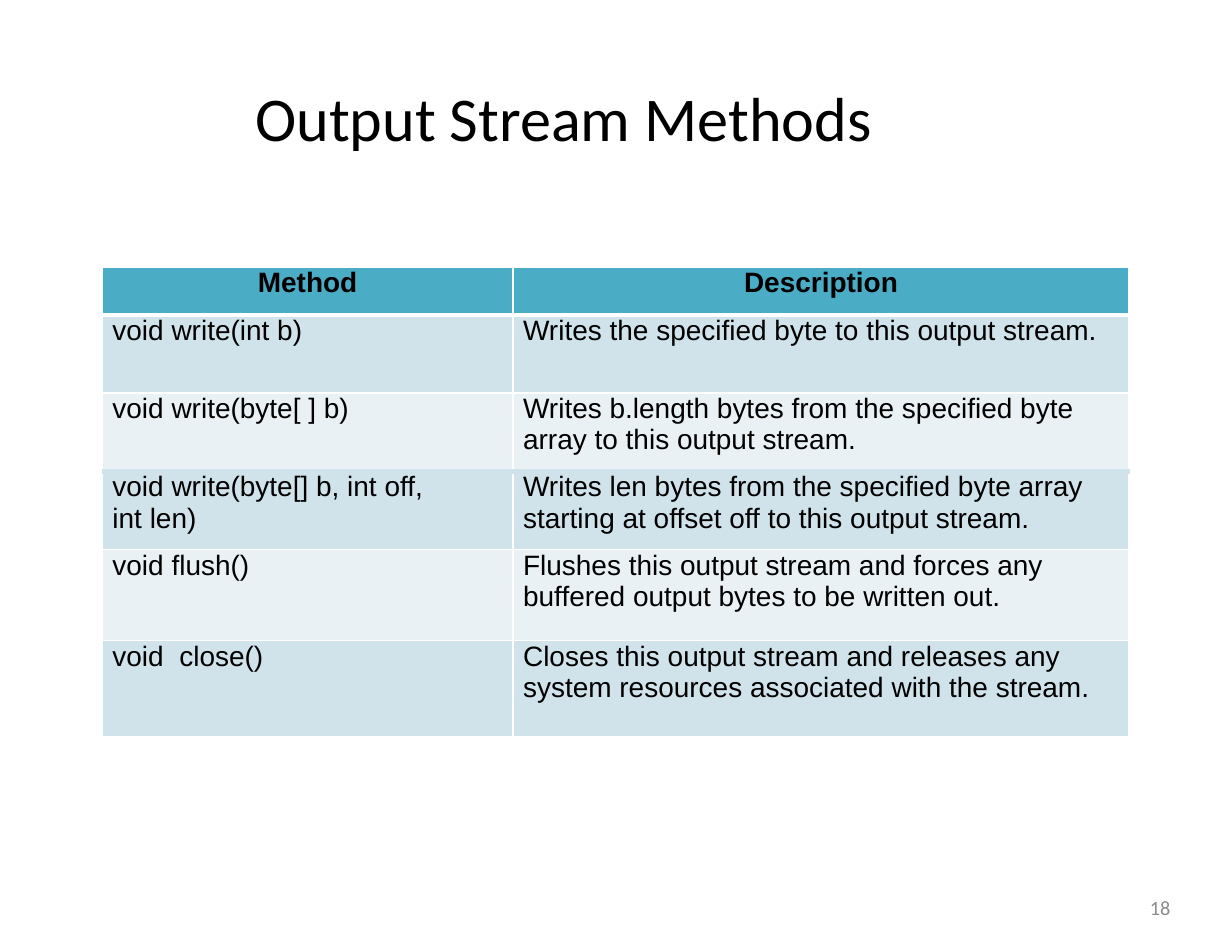
from dataclasses import dataclass

from lxml import etree
from pptx import Presentation
from pptx.dml.color import RGBColor
from pptx.enum.text import MSO_ANCHOR, PP_ALIGN
from pptx.oxml.ns import qn
from pptx.util import Pt

LEFT, CENTER, RIGHT = PP_ALIGN.LEFT, PP_ALIGN.CENTER, PP_ALIGN.RIGHT
TOP, MIDDLE = MSO_ANCHOR.TOP, MSO_ANCHOR.MIDDLE
TITLE_ONLY = 5


@dataclass(frozen=True)
class Theme:
    heading_font: str = "Calibri"
    table_font: str = "Arial"
    title_size: int = 40
    table_size: int = 18
    number_size: int = 13
    ink: str = "000000"
    number: str = "8C8C8C"
    header: str = "4BACC6"
    bands: tuple = ("D0E3EA", "E9F1F5")
    rule: str = "FFFFFF"


THEME = Theme()
COLUMN_WIDTHS = (264, 396)
ROW_HEIGHTS = (30.5, 50.3, 50.3, 50.3, 58.5, 62)
ROWS = (
    ("Method", "Description"),
    ("void write(int b)", "Writes the specified byte to this output stream."),
    ("void write(byte[ ] b)",
     "Writes b.length bytes from the specified byte array to this output stream."),
    ("void write(byte[] b, int off, int len)",
     "Writes len bytes from the specified byte array starting at offset off "
     "to this output stream."),
    ("void flush()",
     "Flushes this output stream and forces any buffered output bytes to be written out."),
    ("void  close()",
     "Closes this output stream and releases any system resources associated "
     "with the stream."),
)
# Horizontal rules from the table's top edge to its bottom edge
ROW_RULES = (
    (THEME.rule, 1.06), (THEME.rule, 3.1), (THEME.rule, 1.06),
    (THEME.bands[0], 3.41), (THEME.rule, 1.06), (THEME.rule, 1.06), (THEME.rule, 1.18),
)
SIDE_RULE = (THEME.rule, 1.18)


def set_margins(target, left=0, right=0):
    margins = {"margin_left": left, "margin_right": right,
               "margin_top": 0, "margin_bottom": 0}
    for name, value in margins.items():
        setattr(target, name, Pt(value))


def write_text(frame, text, font, size, color, align, bold=False):
    frame.word_wrap = True
    frame.text = text
    paragraph = frame.paragraphs[0]
    paragraph.alignment = align
    style = {"name": font, "size": Pt(size), "bold": bold}
    for name, value in style.items():
        setattr(paragraph.runs[0].font, name, value)
    paragraph.runs[0].font.color.rgb = RGBColor.from_string(color)


def set_borders(cell, borders):
    """Put the border lines ahead of the fill, in the order the schema needs."""
    properties = cell._tc.get_or_add_tcPr()
    for position, (side, (color, width)) in enumerate(borders.items()):
        line = etree.Element(qn(f"a:{side}"), w=str(Pt(width)))
        fill = etree.SubElement(line, qn("a:solidFill"))
        etree.SubElement(fill, qn("a:srgbClr"), val=color)
        properties.insert(position, line)


def add_title(slide, text):
    title = slide.shapes.title
    box = {"left": 39.6, "top": 51, "width": 712.8, "height": 48.4}
    for name, value in box.items():
        setattr(title, name, Pt(value))
    frame = title.text_frame
    set_margins(frame, left=124.5)
    frame.vertical_anchor = MIDDLE
    write_text(frame, text, THEME.heading_font, THEME.title_size, THEME.ink, LEFT)


def add_page_number(slide, text):
    frame = slide.shapes.add_textbox(Pt(567.4), Pt(567.4), Pt(185), Pt(32.4)).text_frame
    set_margins(frame)
    frame.vertical_anchor = MIDDLE
    write_text(frame, text, THEME.heading_font, THEME.number_size, THEME.number, RIGHT)


def format_cell(cell, text, row, column):
    is_header = row == 0
    fill = THEME.header if is_header else THEME.bands[(row - 1) % 2]
    cell.fill.solid()
    cell.fill.fore_color.rgb = RGBColor.from_string(fill)
    set_borders(cell, {"lnL": SIDE_RULE, "lnR": SIDE_RULE,
                       "lnT": ROW_RULES[row], "lnB": ROW_RULES[row + 1]})
    if is_header:
        set_margins(cell)
    else:
        set_margins(cell, left=6.5, right=36 if column == 0 else 0)
    cell.vertical_anchor = TOP
    write_text(cell.text_frame, text, THEME.table_font, THEME.table_size, THEME.ink,
               CENTER if is_header else LEFT, is_header)


def add_method_table(slide):
    table = slide.shapes.add_table(
        len(ROWS), len(COLUMN_WIDTHS), Pt(65.8), Pt(172),
        Pt(sum(COLUMN_WIDTHS)), Pt(sum(ROW_HEIGHTS))).table
    for column, width in zip(table.columns, COLUMN_WIDTHS):
        column.width = Pt(width)
    for row, height in zip(table.rows, ROW_HEIGHTS):
        row.height = Pt(height)
    for row, texts in enumerate(ROWS):
        for column, text in enumerate(texts):
            format_cell(table.cell(row, column), text, row, column)


def main():
    presentation = Presentation()
    presentation.slide_width, presentation.slide_height = Pt(792), Pt(612)
    slide = presentation.slides.add_slide(presentation.slide_layouts[TITLE_ONLY])
    add_title(slide, "Output Stream Methods")
    add_page_number(slide, "18")
    add_method_table(slide)
    presentation.save("out.pptx")


if __name__ == "__main__":
    main()
